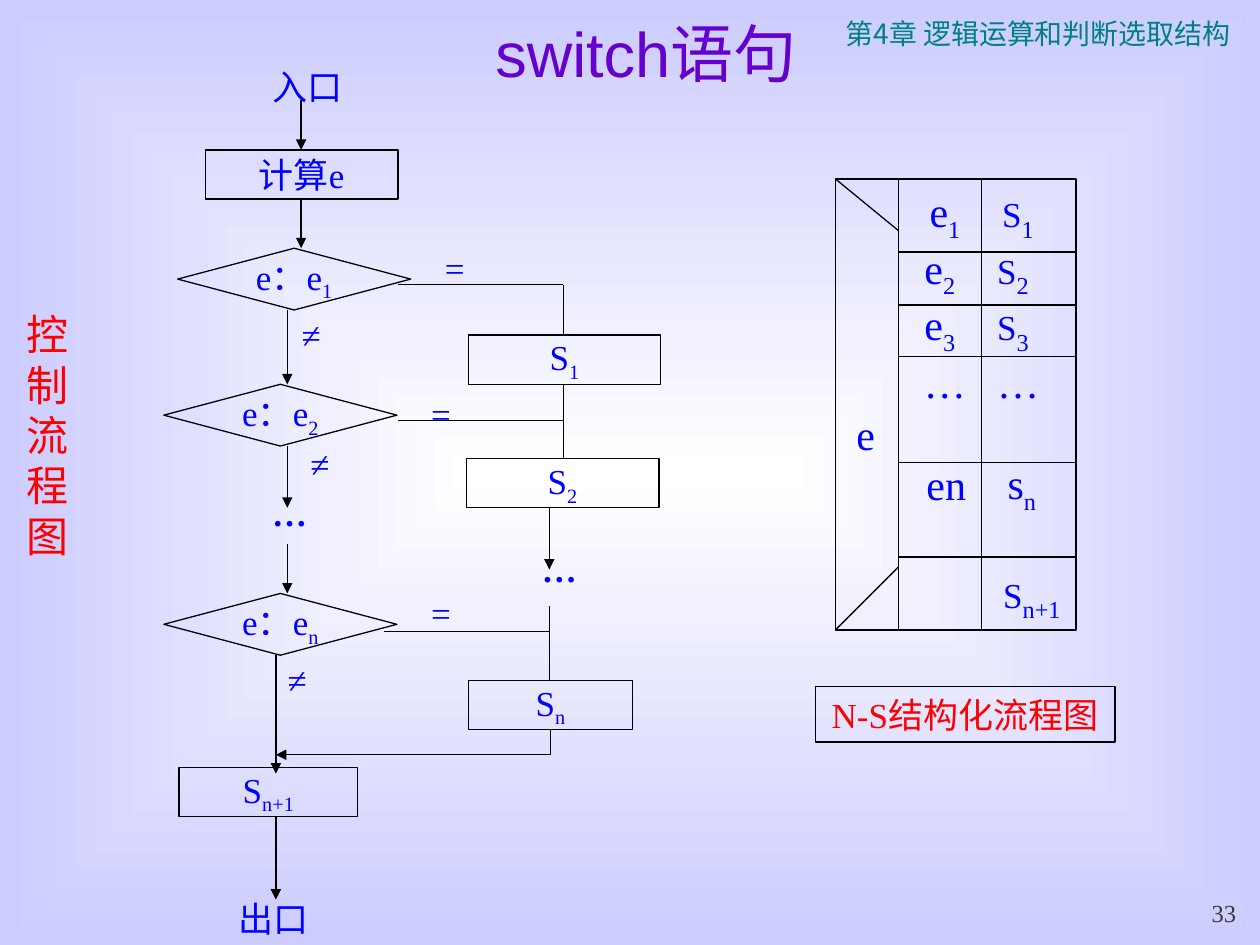
"""Build the slide on switch statements with a control flow chart and an N-S chart."""
from lxml import etree
from pptx import Presentation, util as u
from pptx.dml.color import RGBColor
from pptx.enum import shapes, text
from pptx.oxml import ns

prs = Presentation()
prs.slide_width, prs.slide_height = u.Inches(10), u.Inches(7.5)
COL, ROW = prs.slide_width / 100, prs.slide_height / 75
BLACK, BLUE, RED = "000000", "0000FF", "FF0000"
RECT, DIAMOND = shapes.MSO_SHAPE.RECTANGLE, shapes.MSO_SHAPE.FLOWCHART_DECISION
TOP, MIDDLE, BOTTOM = text.MSO_ANCHOR.TOP, text.MSO_ANCHOR.MIDDLE, text.MSO_ANCHOR.BOTTOM
CENTER, RIGHT = text.PP_ALIGN.CENTER, text.PP_ALIGN.RIGHT
rgb = RGBColor.from_string


def put(words, x, y, w, h, kind=None, size=20, sub=None, color=BLUE, font="Times New Roman",
        ea="Noto Sans CJK SC", bold=False, wrap=False, anchor=MIDDLE, align=CENTER):
    """Add a text box or outlined shape; an underscore starts a subscript."""
    box = [int(v) for v in (x * COL, y * ROW, w * COL, h * ROW)]
    if kind is None:
        sp = s.shapes.add_textbox(*box)
    else:
        sp = s.shapes.add_shape(kind, *box)
        sp.shadow.inherit = False
        sp.fill.background()
        sp.line.color.rgb, sp.line.width = rgb(BLACK), u.Pt(0.75)
    tf = sp.text_frame
    tf.word_wrap, tf.vertical_anchor = wrap, anchor
    p = tf.paragraphs[0]
    p.alignment = align
    for i, part in enumerate(words.split("_") if words else []):
        r = p.add_run()
        r.text = part
        r.font.size, r.font.name, r.font.bold = u.Pt(sub or size if i else size), font, bold
        r.font.color.rgb = rgb(color)
        rPr = r.font._element
        etree.SubElement(rPr, ns.qn("a:ea")).set("typeface", ea)
        if i:
            rPr.set("baseline", "-25000")


def line(x1, y1, x2, y2, arrow=False):
    """Add a thin black line, with an arrowhead at its end on demand."""
    c = s.shapes.add_connector(shapes.MSO_CONNECTOR.STRAIGHT, int(x1 * COL), int(y1 * ROW),
                               int(x2 * COL), int(y2 * ROW))
    c.line.color.rgb, c.line.width = rgb(BLACK), u.Pt(0.75)
    if arrow:
        etree.SubElement(c.line._get_or_add_ln(), ns.qn("a:tailEnd")).set("type", "triangle")
    etree.SubElement(c._element.spPr, ns.qn("a:effectLst"))


s = prs.slides.add_slide(prs.slide_layouts[6])
fill = s.background.fill
fill.gradient()
for stop, color, position in zip(fill.gradient_stops, ("FFFFFF", "CCCCFF"), (0, 1)):
    stop.color.rgb, stop.position = rgb(color), position
grad = fill._fill._gradFill
grad.remove(grad.find(ns.qn("a:lin")))
spread = etree.SubElement(grad, ns.qn("a:path"))
spread.set("path", "rect")
center = etree.SubElement(spread, ns.qn("a:fillToRect"))
for side in "ltrb":
    center.set(side, "50000")

put("第4章 逻辑运算和判断选取结构", 65.7, 0.8, 33.4, 6.4, size=16, color="008080",
    font="Noto Sans CJK JP", ea="Noto Sans CJK JP", wrap=True, anchor=TOP)
put("switch语句", 17.5, 0, 67.5, 8.3, size=36, color="6600CC", font="Arial", wrap=True)
put("控制流程图", 0, 24, 7.5, 21, size=24, color=RED, wrap=True)
put("33", 93.3, 70.8, 5.8, 3.3, size=14, color="393939", wrap=True, anchor=BOTTOM, align=RIGHT)

left, mid, split, right, top, bottom = 66.3, 71.3, 77.9, 85.4, 14.2, 50
put("", left, top, right - left, bottom - top, kind=RECT)
for y in (20, 24.2, 28.3, 36.7, 44.2):
    line(mid, y, right, y)
for x in (mid, split):
    line(x, top, x, bottom)
line(left, top, mid, 18.3)
line(left, bottom, mid, 45)
for words, x, y, size in (
        ("e_1", 75, 17, 24), ("S_1", 80.8, 17, 20), ("e_2", 74.6, 21.5, 24),
        ("S_2", 80.4, 21.5, 20), ("e_3", 74.6, 26, 24), ("S_3", 80.4, 26, 20),
        ("…", 75, 30.3, 24), ("…", 80.8, 30.3, 24), ("e", 68.7, 34.4, 24),
        ("en", 75.1, 38.4, 24), ("s_n", 81.1, 38.6, 24), ("S_n+1", 81.9, 47.2, 20)):
    put(words, x - 5, y - 2, 10, 4, size=size, sub=24)
put("N-S结构化流程图", 64.7, 54.5, 23.8, 4.4, kind=RECT, color=RED)

put("入口", 18.4, 4.4, 12, 4.9)
put("出口", 14.1, 70.7, 15.3, 4.4, wrap=True, anchor=TOP)
for words, x, y, w in (("计算e", 16.3, 11.9, 15.3), ("S_1", 37.2, 26.6, 15.2),
                       ("S_2", 37, 36.4, 15.3), ("S_n", 37.2, 54, 13),
                       ("S_n+1", 14.2, 60.9, 14.2)):
    put(words, x, y, w, 3.9, kind=RECT)
for words, x, y in (("e：e_1", 14.1, 19.7), ("e：e_2", 13, 30.5), ("e：e_n", 13, 47.1)):
    put(words, x, y, 18.5, 4.9, kind=DIAMOND)
for words, x, y in (("=", 34.3, 19.1), ("=", 33.2, 30.7), ("=", 33.2, 46.5),
                    ("≠", 22.9, 24.4), ("≠", 23.6, 34.6), ("≠", 21.8, 51.8)):
    put(words, x, y, 3.6, 4.3)
for x, y in ((20.6, 38.5), (42, 43)):
    put("…", x, y, 4.8, 4.3, bold=True)

for ends in ((44.7, 22.6, 44.7, 26.6), (44.7, 30.5, 44.7, 36.4), (43.6, 48.1, 43.6, 54),
             (43.7, 57.9, 43.7, 59.9), (31.6, 22.6, 44.7, 22.6), (31.6, 33.4, 44.7, 33.4),
             (30.5, 50.1, 43.6, 50.1)):
    line(*ends)
for ends in ((23.9, 7.9, 23.9, 11.9), (23.9, 15.8, 23.9, 19.7), (22.8, 24.6, 22.8, 30.5),
             (22.8, 35.4, 22.8, 40.3), (22.8, 43.2, 22.8, 47.1), (43.6, 40.3, 43.6, 45.2),
             (43.7, 59.9, 21.9, 59.9), (21.9, 52, 21.9, 61.4), (21.9, 64.8, 21.9, 71.4)):
    line(*ends, arrow=True)

prs.save("out.pptx")
